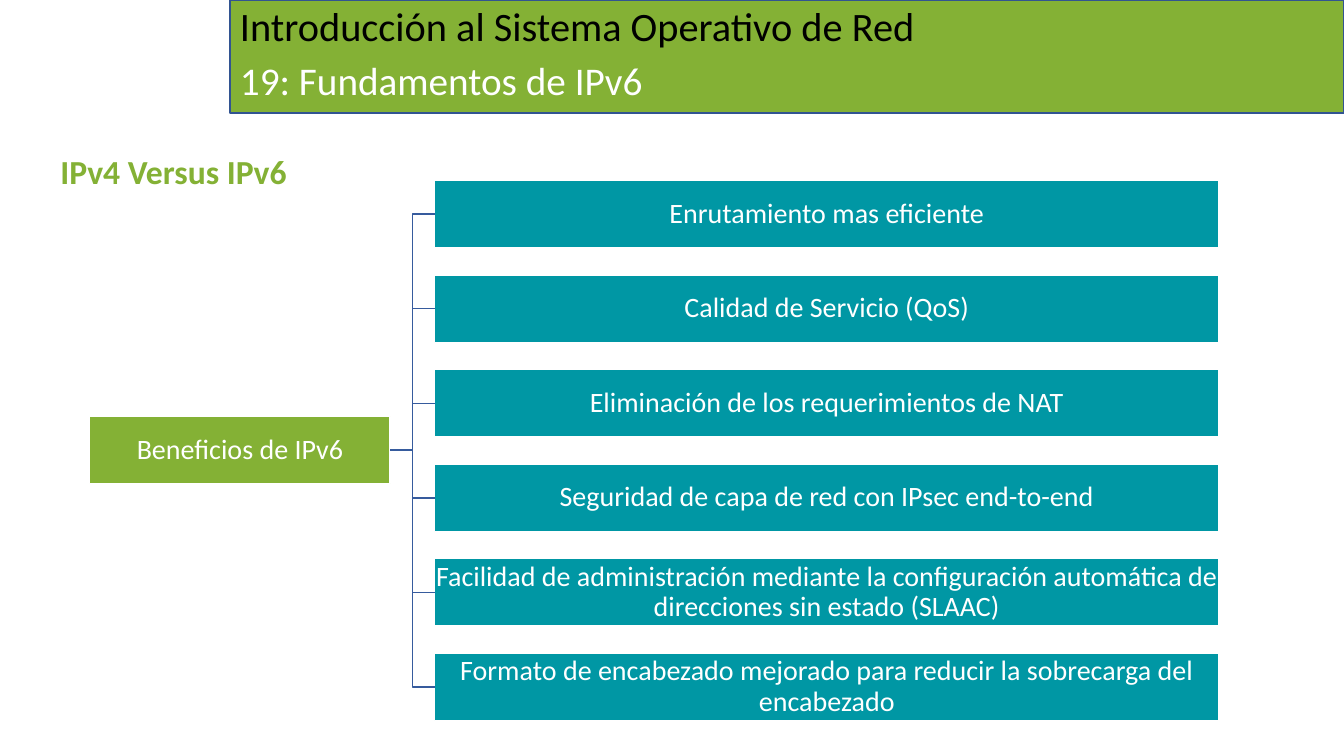
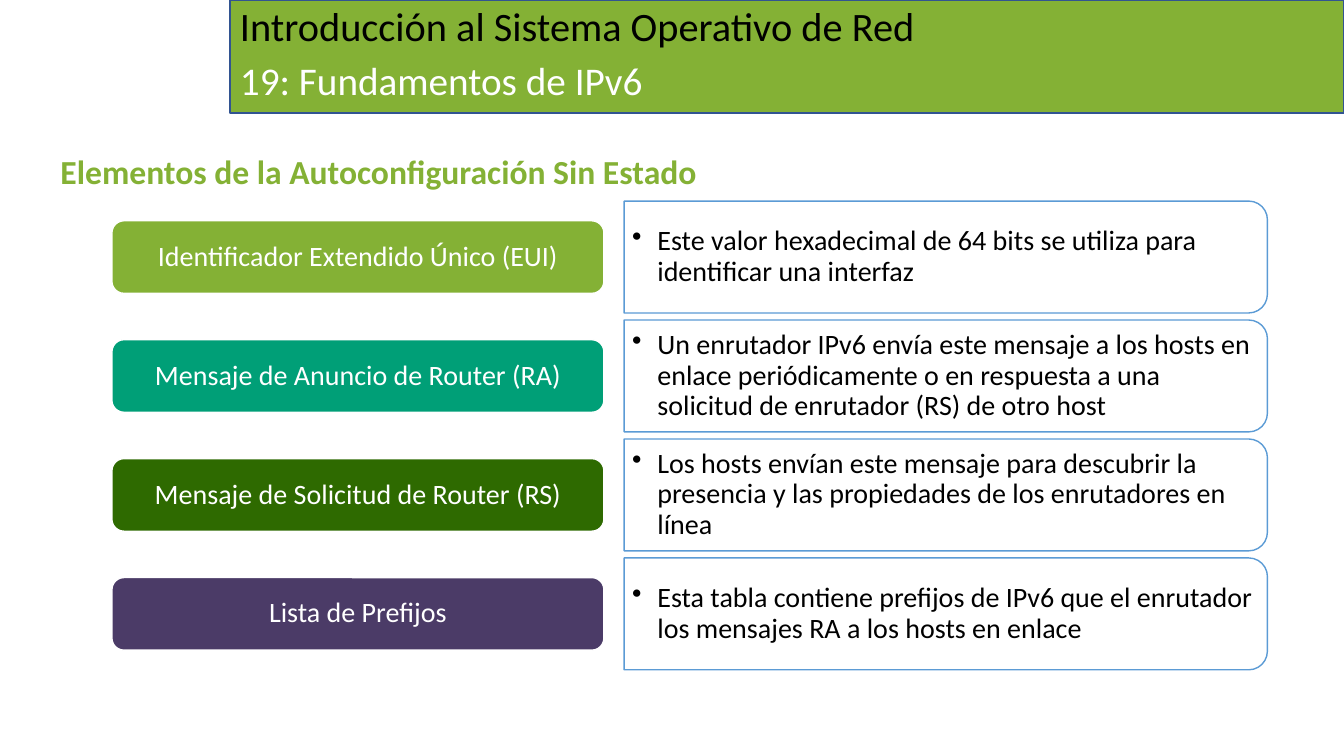
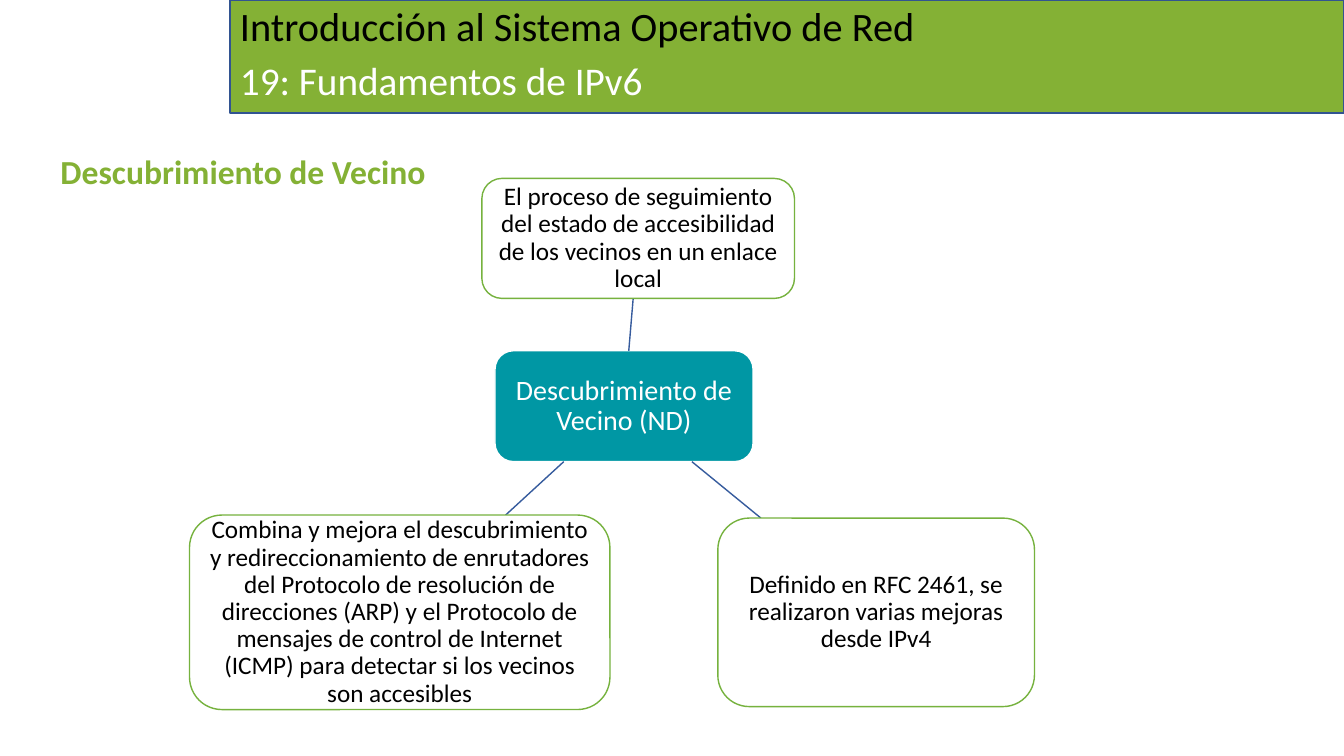
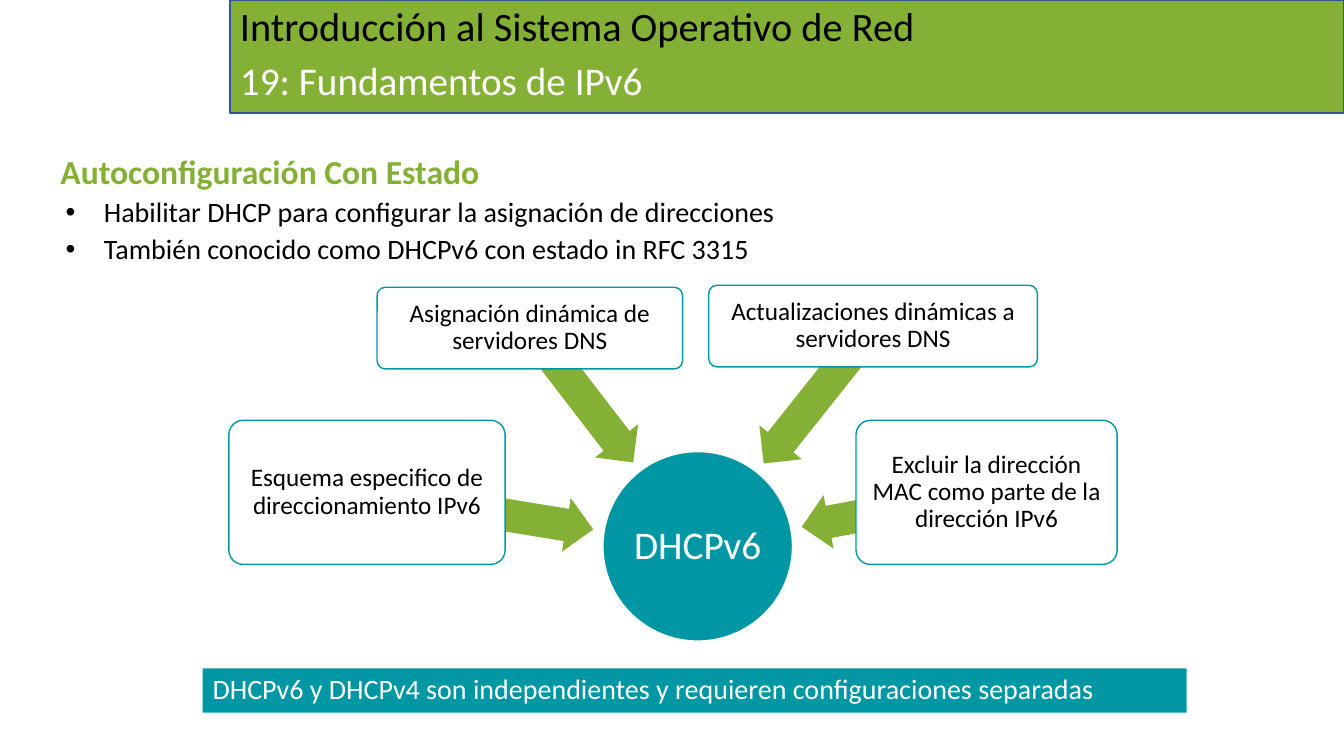
import math
from dataclasses import dataclass

import pptx
import pptx.dml.color
import pptx.enum.shapes
import pptx.enum.text
import pptx.oxml.ns
import pptx.util
from lxml import etree

Inches, Pt = pptx.util.Inches, pptx.util.Pt
SHAPE = pptx.enum.shapes.MSO_SHAPE
CONNECTOR = pptx.enum.shapes.MSO_CONNECTOR
ALIGN = pptx.enum.text.PP_ALIGN
ANCHOR = pptx.enum.text.MSO_ANCHOR
qn = pptx.oxml.ns.qn


@dataclass(frozen=True)
class Theme:
    font: str = "Calibri"
    white: str = "FFFFFF"
    black: str = "000000"
    green: str = "84B135"
    teal: str = "0097A4"
    jade: str = "009F77"
    forest: str = "2E6A00"
    purple: str = "4B3B67"
    leaf: str = "76B23E"
    sky: str = "5B9BD5"
    band_edge: str = "325491"
    link: str = "365B9D"
    title: float = 28.8
    chapter: float = 28
    section: float = 24
    text: float = 20
    small: float = 18
    line_spacing: float = 0.9


THEME = Theme()

# Content
WIDTH, HEIGHT = 13.33, 7.5
BAND = (2.28, 0, 11.05, 1.12)
PLACEHOLDERS = {0: (2.28, 0.02, 11.05, 0.53),
                1: (2.28, 0.56, 8.42, 0.56),
                2: (0.5, 1.49, 12.49, 4.76)}
COURSE = "Introducción al Sistema Operativo de Red"
CHAPTER = "19: Fundamentos de IPv6"

BENEFITS_ROOT = "Beneficios de IPv6"
BENEFITS = [
    "Enrutamiento mas eficiente",
    "Calidad de Servicio (QoS)",
    "Eliminación de los requerimientos de NAT",
    "Seguridad de capa de red con IPsec end-to-end",
    "Facilidad de administración mediante la configuración automática de direcciones "
    "sin estado (SLAAC)",
    "Formato de encabezado mejorado para reducir la sobrecarga del encabezado",
]
ELEMENTS = [
    ("Identificador Extendido Único (EUI)", THEME.green,
     "Este valor hexadecimal de 64 bits se utiliza para identificar una interfaz"),
    ("Mensaje de Anuncio de Router (RA)", THEME.jade,
     "Un enrutador IPv6 envía este mensaje a los hosts en enlace periódicamente o en "
     "respuesta a una solicitud de enrutador (RS) de otro host"),
    ("Mensaje de Solicitud de Router (RS)", THEME.forest,
     "Los hosts envían este mensaje para descubrir la presencia y las propiedades de "
     "los enrutadores en línea"),
    ("Lista de Prefijos", THEME.purple,
     "Esta tabla contiene prefijos de IPv6 que el enrutador los mensajes RA a los hosts "
     "en enlace"),
]
DISCOVERY_HUB = ("Descubrimiento de Vecino (ND)", (4.91, 3.48, 2.56, 1.1))
DISCOVERY = [
    ("El proceso de seguimiento del estado de accesibilidad de los vecinos en un enlace "
     "local", (4.78, 1.77, 3.1, 1.19)),
    ("Definido en RFC 2461, se realizaron varias mejoras desde IPv4",
     (7.12, 5.14, 3.14, 1.87)),
    ("Combina y mejora el descubrimiento y redireccionamiento de enrutadores del "
     "Protocolo de resolución de direcciones (ARP) y el Protocolo de mensajes de control "
     "de Internet (ICMP) para detectar si los vecinos son accesibles",
     (1.88, 5.11, 4.17, 1.93)),
]
STATEFUL_BULLETS = ["Habilitar DHCP para configurar la asignación de direcciones",
                    "También conocido como DHCPv6 con estado in RFC 3315"]
STATEFUL_HUB = ("DHCPv6", (5.98, 4.48, 1.88, 1.88))
STATEFUL = [
    ("Esquema especifico de direccionamiento IPv6", (2.27, 4.17, 2.74, 1.43)),
    ("Asignación dinámica de servidores DNS", (3.74, 2.85, 3.03, 0.81)),
    ("Actualizaciones dinámicas a servidores DNS", (7.03, 2.83, 3.26, 0.81)),
    ("Excluir la dirección MAC como parte de la dirección IPv6",
     (8.49, 4.17, 2.59, 1.43)),
]
STATEFUL_NOTE = "DHCPv6 y DHCPv4 son independientes y requieren configuraciones separadas"


# Helpers
def rgb(color):
    return pptx.dml.color.RGBColor.from_string(color)


def center(box):
    left, top, width, height = box
    return left + width / 2, top + height / 2


def write(paragraph, text, size, color, bold=False, align=ALIGN.LEFT, bullet=None, before=0):
    """Fill one paragraph; bullet is a (margin, indent) pair in inches."""
    properties = paragraph._p.get_or_add_pPr()
    margin, indent = bullet or (0, 0)
    properties.set("marL", str(Inches(margin)))
    properties.set("indent", str(Inches(indent)))
    if bullet:
        etree.SubElement(properties, qn("a:buChar")).set("char", "•")
    else:
        etree.SubElement(properties, qn("a:buNone"))
    paragraph.alignment = align
    paragraph.line_spacing = THEME.line_spacing
    paragraph.space_before = Pt(before)
    run = paragraph.add_run()
    run.text = text
    run.font.name, run.font.size, run.font.bold = THEME.font, Pt(size), bold
    run.font.color.rgb = rgb(color)


def set_frame(frame, inset_x, inset_y):
    frame.word_wrap = True
    frame.vertical_anchor = ANCHOR.MIDDLE
    frame.margin_left = frame.margin_right = Inches(inset_x)
    frame.margin_top = frame.margin_bottom = Inches(inset_y)


def add_box(slide, kind, box, fill, line=None, text=None, size=THEME.text,
            color=THEME.white, insets=(0.01, 0.01), align=ALIGN.CENTER, adjust=()):
    shape = slide.shapes.add_shape(kind, *map(Inches, box))
    shape.shadow.inherit = False
    shape.fill.solid()
    shape.fill.fore_color.rgb = rgb(fill)
    if line:
        shape.line.color.rgb = rgb(line)
        shape.line.width = Pt(1)
    else:
        shape.line.fill.background()
    for index, value in enumerate(adjust):
        shape.adjustments[index] = value
    if text:
        set_frame(shape.text_frame, *insets)
        write(shape.text_frame.paragraphs[0], text, size, color, align=align)
    return shape


def add_link(slide, kind, start, end):
    connector = slide.shapes.add_connector(kind, *map(Inches, start + end))
    connector.line.color.rgb = rgb(THEME.link)
    connector.line.width = Pt(1)
    etree.SubElement(connector.element.spPr, qn("a:effectLst"))
    return connector


# Shared layout: band and placeholder places
def prepare_layout(presentation):
    layout = presentation.slide_layouts[3]
    for placeholder in layout.placeholders:
        place = PLACEHOLDERS.get(placeholder.placeholder_format.idx)
        if place:
            (placeholder.left, placeholder.top,
             placeholder.width, placeholder.height) = map(Inches, place)
    return layout


def move_to_layout(shape, layout):
    shape.element.xpath("./p:nvSpPr/p:cNvPr")[0].set("id", "99")
    layout.shapes.element.insert(2, shape.element)


def add_slide(presentation, layout, section, bullets=()):
    slide = presentation.slides.add_slide(layout)
    headings = [(COURSE, THEME.title, THEME.black, False),
                (CHAPTER, THEME.chapter, THEME.white, False),
                (section, THEME.section, THEME.green, True)]
    for index, heading in enumerate(headings):
        frame = slide.placeholders[index].text_frame
        frame.auto_size = pptx.enum.text.MSO_AUTO_SIZE.NONE
        frame.vertical_anchor = ANCHOR.TOP if index else ANCHOR.MIDDLE
        write(frame.paragraphs[0], *heading)
    for bullet in bullets:
        paragraph = frame.add_paragraph()
        paragraph.level = 1
        write(paragraph, bullet, THEME.text, THEME.black, bullet=(0.43, -0.38), before=5)
    return slide


# Slide bodies
def draw_benefits(slide):
    height = 0.67
    root = add_box(slide, SHAPE.RECTANGLE, (0.89, 4.13, 2.98, height), THEME.green,
                   THEME.white, BENEFITS_ROOT)
    for row, text in enumerate(BENEFITS):
        top = 1.79 + row * 1.4 * height
        benefit = add_box(slide, SHAPE.RECTANGLE, (4.31, top, 7.78, height), THEME.teal,
                          THEME.white, text)
        link = add_link(slide, CONNECTOR.ELBOW, (3.87, 4.13 + height / 2),
                        (4.31, top + height / 2))
        link.begin_connect(root, 3)
        link.end_connect(benefit, 1)


def draw_elements(slide):
    label_height, panel_height, panel_width, text_height = 0.72, 1.11, 6.38, 1
    panel_left = 6.19
    for row, (label, color, text) in enumerate(ELEMENTS):
        middle = 2.55 + row * 1.18
        panel = add_box(slide, SHAPE.ROUND_2_SAME_RECTANGLE,
                        (panel_left + (panel_width - panel_height) / 2,
                         middle - panel_width / 2, panel_height, panel_width),
                        THEME.white, THEME.sky)
        panel.rotation = 90
        description = slide.shapes.add_textbox(
            *map(Inches, (panel_left, middle - text_height / 2, 6.33, text_height)))
        set_frame(description.text_frame, 0.08, 0.04)
        write(description.text_frame.paragraphs[0], text, THEME.text, THEME.black,
              bullet=(0.25, -0.25))
        add_box(slide, SHAPE.ROUNDED_RECTANGLE,
                (1.11, middle - label_height / 2, 4.88, label_height), color,
                THEME.white, label, insets=(0.08, 0.04))


def draw_discovery(slide):
    hub_text, hub = DISCOVERY_HUB
    hub_x, hub_y = center(hub)
    add_box(slide, SHAPE.ROUNDED_RECTANGLE, hub, THEME.teal, THEME.white, hub_text,
            insets=(0.06, 0.06))
    for text, box in DISCOVERY:
        x, y = center(box)
        side = math.copysign(1, y - hub_y)
        # The link follows the line between centres, from edge to edge
        ends = [(hub_x + (x - hub_x) * (edge - hub_y) / (y - hub_y), edge)
                for edge in (hub_y + side * hub[3] / 2, y - side * box[3] / 2)]
        add_link(slide, CONNECTOR.STRAIGHT, *ends)
        add_box(slide, SHAPE.ROUNDED_RECTANGLE, box, THEME.white, THEME.leaf, text,
                THEME.small, THEME.black, (0.05, 0.05))


def draw_stateful(slide):
    hub_text, hub = STATEFUL_HUB
    hub_x, hub_y = center(hub)
    reach, thickness = 1.05, 0.54
    add_box(slide, SHAPE.OVAL, hub, THEME.teal, THEME.white, hub_text, THEME.chapter,
            insets=(0.02, 0.02))
    for text, box in STATEFUL:
        # The arrow starts at the box centre and stops short of the hub
        x, y = center(box)
        angle = math.atan2(hub_y - y, hub_x - x)
        length = math.hypot(hub_x - x, hub_y - y) - reach
        arrow_x = x + math.cos(angle) * length / 2
        arrow_y = y + math.sin(angle) * length / 2
        arrow = add_box(slide, SHAPE.LEFT_ARROW,
                        (arrow_x - length / 2, arrow_y - thickness / 2, length, thickness),
                        THEME.green, adjust=(0.6, 0.5))
        arrow.rotation = math.degrees(angle) + 180
        add_box(slide, SHAPE.ROUNDED_RECTANGLE, box, THEME.white, THEME.teal, text,
                THEME.small, THEME.black, (0.04, 0.04), adjust=(0.1,))
    add_box(slide, SHAPE.RECTANGLE, (2.01, 6.63, 9.76, 0.44), THEME.teal,
            text=STATEFUL_NOTE, insets=(0.1, 0.05), align=ALIGN.LEFT)


SLIDES = [
    ("IPv4 Versus IPv6", (), draw_benefits),
    ("Elementos de la Autoconfiguración Sin Estado", (), draw_elements),
    ("Descubrimiento de Vecino", (), draw_discovery),
    ("Autoconfiguración Con Estado", STATEFUL_BULLETS, draw_stateful),
]


def main():
    presentation = pptx.Presentation()
    presentation.slide_width, presentation.slide_height = Inches(WIDTH), Inches(HEIGHT)
    layout = prepare_layout(presentation)
    for section, bullets, draw in SLIDES:
        draw(add_slide(presentation, layout, section, bullets))
    band = add_box(presentation.slides[0], SHAPE.RECTANGLE, BAND, THEME.green,
                   THEME.band_edge)
    move_to_layout(band, layout)
    presentation.save("out.pptx")


if __name__ == "__main__":
    main()
